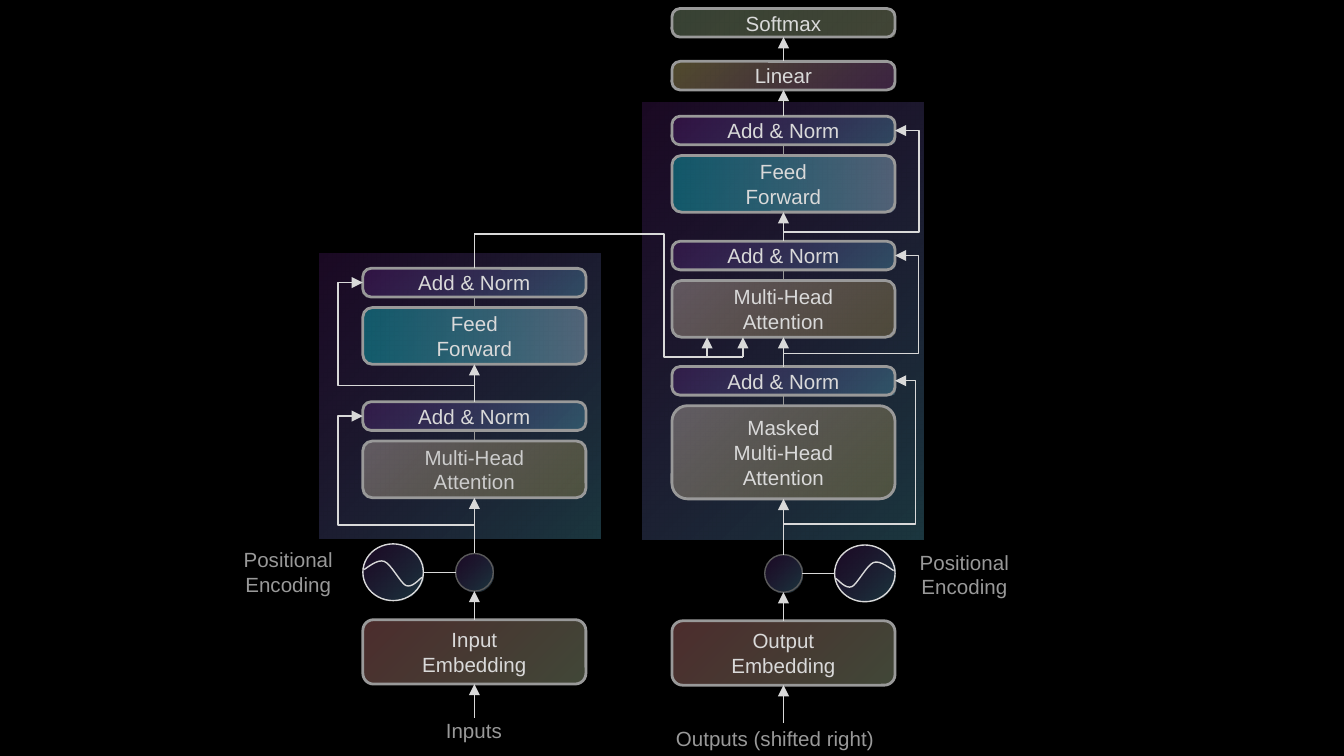
from pptx import Presentation
from pptx.dml.color import RGBColor as Rgb
from pptx.enum.shapes import MSO_CONNECTOR as Link, MSO_SHAPE as Form
from pptx.enum.text import MSO_ANCHOR as Anchor, PP_ALIGN as Align
from pptx.oxml import parse_xml
from pptx.oxml.ns import nsdecls, qn
from pptx.util import Pt

INK = {"back": "000000", "light": "D9D9D9", "soft": "CCCCCC", "grey": "999999", "dark": "595959"}
# angle, then (colour, opacity in percent) at the start and at the end
FILLS = {
    "night": (225, ("69D4F4", 26), ("9F39D5", 17)),
    "attend": (45, ("F7E9D4", 32), ("E6B94E", 25)),
    "feed": (0, ("00FFFF", 31), ("B0DAF1", 37)),
    "embed": (225, ("D8EDBA", 29), ("FE9696", 29)),
    "linear": (225, ("DE87F1", 27), ("F1DD87", 34)),
    "softmax": (225, ("E0EDBA", 29), ("B6D7A8", 31)),
}
FONT = {"name": "Arial", "size": Pt(11)}
FRAME = {"word_wrap": True}
FRAME.update({f"margin_{side}": Pt(7.2) for side in ("left", "right", "top", "bottom")})
WIDE, THIN, STEP = 119.5, 15.3, 21
WAVE = [(0.7, 13.7), (2.2, 13), (7.9, 7.9), (11.5, 9.4), (15.1, 10.8),
        (20.2, 20.9), (23, 22.3), (26.6, 23.8), (30.2, 18.7), (31.7, 18)]


def shade(shape, name):
    """Fill with a translucent two-colour gradient."""
    angle, *ends = FILLS[name]
    stops = "".join(
        f'<a:gs pos="{pos}"><a:srgbClr val="{hue}"><a:alpha val="{alpha * 1000}"/></a:srgbClr></a:gs>'
        for pos, (hue, alpha) in zip((0, 100000), ends))
    shape.fill.background()
    props = shape._element.spPr
    props.replace(props.find(qn("a:noFill")), parse_xml(
        f'<a:gradFill {nsdecls("a")} rotWithShape="1"><a:gsLst>{stops}</a:gsLst>'
        f'<a:lin ang="{angle * 60000}" scaled="0"/></a:gradFill>'))


def write(shape, words, tone, align):
    frame = shape.text_frame
    for key, value in FRAME.items():
        setattr(frame, key, value)
    frame.text = words
    for para in frame.paragraphs:
        para.alignment = align
        for key, value in FONT.items():
            setattr(para.font, key, value)
        para.font.color.rgb = Rgb.from_string(INK[tone])


def stroke(shape, tone, width):
    shape.line.color.rgb = Rgb.from_string(INK[tone])
    shape.line.width = Pt(width)


def draw(slide, form, box, fill, tone=None, width=0.75):
    shape = slide.shapes.add_shape(form, *map(Pt, box))
    shape.shadow.inherit = False
    shade(shape, fill)
    if tone:
        stroke(shape, tone, width)
    else:
        shape.line.fill.background()
    return shape


def node(slide, box, fill, words, tone="light"):
    shape = draw(slide, Form.ROUNDED_RECTANGLE, box, fill, "grey", 1.5)
    shape.adjustments[0] = 0.285 if box[3] == THIN else 0.167
    write(shape, words, tone, Align.CENTER)
    shape.text_frame.vertical_anchor = Anchor.MIDDLE
    return shape


def label(slide, box, words, align=Align.LEFT):
    write(slide.shapes.add_textbox(*map(Pt, box)), words, "grey", align)


def wire(slide, start, end, tip=True, tone="light", bend=None):
    """Line between two points; bend is the x of the middle leg of an elbow."""
    kind = Link.STRAIGHT if bend is None else Link.ELBOW
    line = slide.shapes.add_connector(kind, *map(Pt, start + end))
    stroke(line, tone, 0.75)
    props = line._element.spPr
    if bend is not None:
        ratio = (bend - start[0]) / (end[0] - start[0])
        guides = props.find(qn("a:prstGeom")).get_or_add_avLst()
        guides.append(parse_xml(
            f'<a:gd {nsdecls("a")} name="adj1" fmla="val {round(ratio * 100000)}"/>'))
    if tip:
        props.find(qn("a:ln")).append(parse_xml(f'<a:tailEnd {nsdecls("a")} type="triangle"/>'))
    props.append(parse_xml(f'<a:effectLst {nsdecls("a")}/>'))
    return line


def rise(slide, low, high, tip=True, tone="light"):
    """Line from the top of one shape to the bottom of a higher one."""
    start = ((low.left + low.width / 2) / Pt(1), low.top / Pt(1))
    end = ((high.left + high.width / 2) / Pt(1), (high.top + high.height) / Pt(1))
    line = wire(slide, start, end, tip, tone)
    if low.auto_shape_type != Form.OVAL:
        line.begin_connect(low, 0)
    if high.auto_shape_type != Form.OVAL:
        line.end_connect(high, 2)


def layer(slide, box, fill, words, tone="light"):
    """A sublayer with its norm above; returns both."""
    left, top, wide, high = box
    norm = node(slide, (left, top, wide, THIN), "night", "Add & Norm")
    core = node(slide, (left, top + STEP, wide, high - STEP), fill, words, tone)
    rise(slide, core, norm, False, "grey")
    return core, norm


def curve(points, steps=8):
    """Points along a chain of cubic curves."""
    found = [points[0]]
    for i in range(0, len(points) - 1, 3):
        for n in range(1, steps + 1):
            t = n / steps
            parts = ((1 - t) ** 3, 3 * t * (1 - t) ** 2, 3 * t * t * (1 - t), t ** 3)
            found.append(tuple(sum(w * p[axis] for w, p in zip(parts, points[i:i + 4]))
                               for axis in (0, 1)))
    return found


def signal(slide, box, mid, side):
    """Position wave in a circle, wired to the sum circle at x = mid."""
    left, top, wide, high = box
    draw(slide, Form.OVAL, box, "night", "light")
    dots = [(Pt(left + (x if side < 0 else wide - x)), Pt(top + y)) for x, y in curve(WAVE)]
    path = slide.shapes.build_freeform(*dots[0], scale=1.0)
    path.add_line_segments(dots[1:], close=False)
    wave = path.convert_to_shape()
    wave.shadow.inherit = False
    wave.fill.background()
    stroke(wave, "light", 0.75)
    level = top + high / 2
    inner = left + wide if side < 0 else left
    wire(slide, (inner, level), (mid + side * 10.1, level), False)


def tower(slide, box, left, side, layers, source, foot):
    """Panel with its layers, bottom up, over the embedding; returns the top norm."""
    draw(slide, Form.RECTANGLE, box, "night")
    base, mid = box[1] + box[3], left + WIDE / 2
    embed = node(slide, (left, base + 43.7, WIDE, 34.5), "embed", f"{source}\nEmbedding")
    below = draw(slide, Form.OVAL, (mid - 10.1, base + 8.2, 20.2, 20.2), "night", "dark")
    rise(slide, embed, below)
    wire(slide, (mid, foot), (mid, base + 78.2)).end_connect(embed, 2)
    signal(slide, (left if side < 0 else left + WIDE - 32.4, base + 3.1, 32.4, 30.4), mid, side)
    edge = mid + side * WIDE / 2
    for top, high, fork, bend, *look in layers:
        core, norm = layer(slide, (left, top, WIDE, high), *look)
        rise(slide, below, core)
        wire(slide, (mid, fork), (edge, top + THIN / 2), bend=bend)
        below = norm
    return below


def head(slide, left, norm):
    """Output steps above the decoder."""
    below = norm
    for top, fill, words in ((32.9, "linear", "Linear"), (4.6, "softmax", "Softmax")):
        step = node(slide, (left, top, WIDE, THIN), fill, words)
        rise(slide, below, step)
        below = step


def cross(slide, norm):
    """Encoder result led into the decoder's attention."""
    mid, top = 254.15, 125.3
    wire(slide, (mid, 143.8), (mid, top), False).begin_connect(norm, 0)
    wire(slide, (mid, top), (398, 191.3), False, bend=355.7)
    for x in (378.8, 398):
        wire(slide, (x, 191.3), (x, 180.7))


def main():
    deck = Presentation()
    deck.slide_width, deck.slide_height = Pt(720), Pt(405)
    slide = deck.slides.add_slide(deck.slide_layouts[6])
    back = slide.background.fill
    back.solid()
    back.fore_color.rgb = Rgb.from_string(INK["back"])

    feed, heads = ("feed", "Feed\nForward"), ("attend", "Multi-Head\nAttention")
    left = tower(slide, (171.4, 135.8, 150.5, 152.5), 194.4, -1, [
        (215.3, 51.4, 281.3, 181.1, *heads, "soft"),
        (143.8, 51.4, 206.6, 181.1, *feed),
    ], "Input", 384.5)
    right = tower(slide, (344, 54.7, 150.5, 234.2), 360, 1, [
        (196.4, 70.9, 280.8, 490.5, "attend", "Masked\nMulti-Head\nAttention"),
        (129.3, 51.4, 189.4, 492, *heads),
        (62.3, 51.4, 124.4, 492.4, *feed),
    ], "Output", 387.4)
    head(slide, 360, right)
    cross(slide, left)

    label(slide, (231.8, 378, 52.6, 14.4), "Inputs")
    label(slide, (355, 382.3, 128.9, 14.4), "Outputs (shifted right)")
    for x, y in ((452.2, 287.3), (90, 285.8)):
        label(slide, (x, y, 128.9, 14.4), "Positional\nEncoding", Align.CENTER)
    deck.save("out.pptx")


if __name__ == "__main__":
    main()
